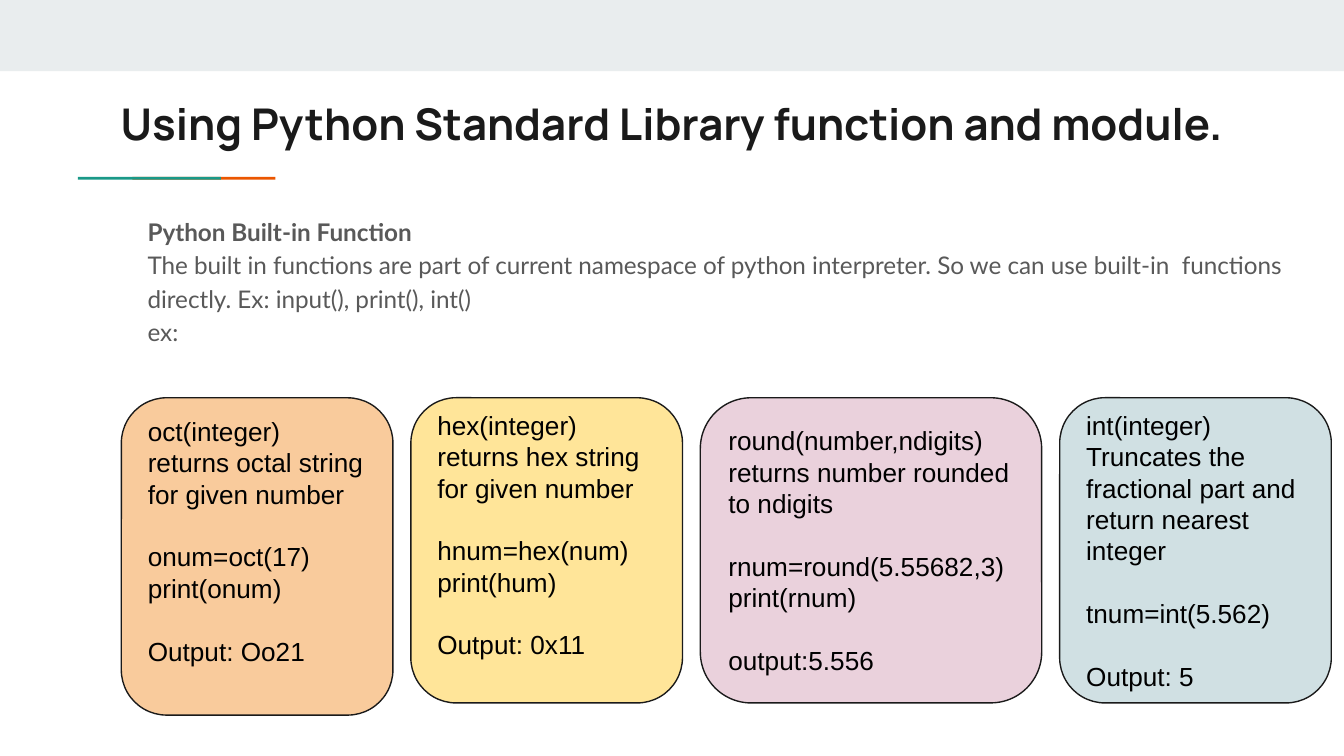
from dataclasses import dataclass

from pptx import Presentation
from pptx.dml.color import RGBColor as Rgb
from pptx.enum.shapes import MSO_SHAPE as Kind
from pptx.enum.text import MSO_ANCHOR as Anchor, PP_ALIGN as Align
from pptx.util import Pt

BLACK = Rgb(0x00, 0x00, 0x00)
INK = Rgb(0x1A, 0x1A, 0x1A)
GREY = Rgb(0x59, 0x59, 0x59)
BAND = Rgb(0xE9, 0xED, 0xEE)
ORANGE = Rgb(0xEB, 0x56, 0x00)
TEAL = Rgb(0x1A, 0x99, 0x88)
PEACH = Rgb(0xF9, 0xCB, 0x9C)
YELLOW = Rgb(0xFF, 0xE5, 0x99)
PINK = Rgb(0xEA, 0xD1, 0xDC)
BLUE = Rgb(0xD0, 0xE0, 0xE3)

INSET = 7.2
LEFT, TOP, GAP = 65, 213.1, 9.6
LINE = 16.8


@dataclass
class Box:
    left: float
    top: float
    width: float
    height: float

    def points(self) -> list[Pt]:
        return [Pt(v) for v in (self.left, self.top, self.width, self.height)]


@dataclass
class Card:
    fill: Rgb
    width: float
    height: float
    lift: float
    blocks: list[list[str]]


CARDS = [
    Card(PEACH, 145.5, 170, LINE, [
        ["oct(integer)", "returns octal string for given number"],
        ["onum=oct(17)", "print(onum)"],
        ["Output: Oo21"]]),
    Card(YELLOW, 145.5, 163.5, LINE, [
        ["hex(integer)", "returns hex string for given number"],
        ["hnum=hex(num)", "print(hum)"],
        ["Output: 0x11"]]),
    Card(PINK, 182.9, 163.5, 0, [
        ["round(number,ndigits)", "returns number rounded to ndigits"],
        ["rnum=round(5.55682,3)", "print(rnum)"],
        ["output:5.556"]]),
    Card(BLUE, 145.5, 163.5, 0, [
        ["int(integer)",
         "Truncates the fractional part and return nearest integer"],
        ["tnum=int(5.562)"],
        ["Output: 5"]]),
]


def write(shape, blocks: list[list[str]], *, font: str, size: float,
          color: Rgb, head: bool = False, space: float = 1, gap: float = 0,
          anchor=Anchor.TOP, lift: float = 0) -> None:
    frame = shape.text_frame
    frame.word_wrap = True
    frame.vertical_anchor = anchor
    frame.margin_left = frame.margin_right = frame.margin_top = Pt(INSET)
    frame.margin_bottom = Pt(INSET + lift)
    lines = [(text, row == 0 and part > 0)
             for part, block in enumerate(blocks)
             for row, text in enumerate(block)]
    for index, (text, opens) in enumerate(lines):
        para = frame.add_paragraph() if index else frame.paragraphs[0]
        para.alignment = Align.LEFT
        para.line_spacing = space
        para.space_before = Pt(gap if opens else 0)
        run = para.add_run()
        run.text = text
        run.font.name = font
        run.font.size = Pt(size)
        run.font.bold = head and index == 0
        run.font.color.rgb = color


def draw(slide, kind: Kind, box: Box, fill: Rgb, line: Rgb | None = None):
    shape = slide.shapes.add_shape(kind, *box.points())
    shape.shadow.inherit = False
    shape.fill.solid()
    shape.fill.fore_color.rgb = fill
    if line is None:
        shape.line.fill.background()
    else:
        shape.line.color.rgb = line
        shape.line.width = Pt(0.75)
    return shape


def label(slide, box: Box, blocks: list[list[str]], **style) -> None:
    write(slide.shapes.add_textbox(*box.points()), blocks, **style)


def main() -> None:
    deck = Presentation()
    deck.slide_width, deck.slide_height = Pt(720), Pt(405)
    slide = deck.slides.add_slide(deck.slide_layouts[6])

    draw(slide, Kind.RECTANGLE, Box(0, 0, 720, 38.2), BAND)
    for left, fill in ((71, ORANGE), (41.8, TEAL)):
        draw(slide, Kind.RECTANGLE, Box(left, 94.7, 76.6, 1.5), fill)

    label(slide, Box(57.6, 44.6, 605.5, 42.5),
          [["Using Python Standard Library function and module."]],
          font="Manrope", size=23.4, color=INK, head=True)
    label(slide, Box(72, 106.6, 712.8 - 72, 298),
          [["Python Built-in Function",
            "The built in functions are part of current namespace of python "
            "interpreter. So we can use built-in  functions directly. "
            "Ex: input(), print(), int()",
            "ex:"]],
          font="Lato", size=13, color=GREY, head=True, space=1.15)

    left = LEFT
    for card in CARDS:
        box = Box(left, TOP, card.width, card.height)
        shape = draw(slide, Kind.ROUNDED_RECTANGLE, box, card.fill, INK)
        write(shape, card.blocks, font="Arial", size=14, color=BLACK,
              gap=LINE, anchor=Anchor.MIDDLE, lift=card.lift)
        left += card.width + GAP

    deck.save("out.pptx")


if __name__ == "__main__":
    main()
